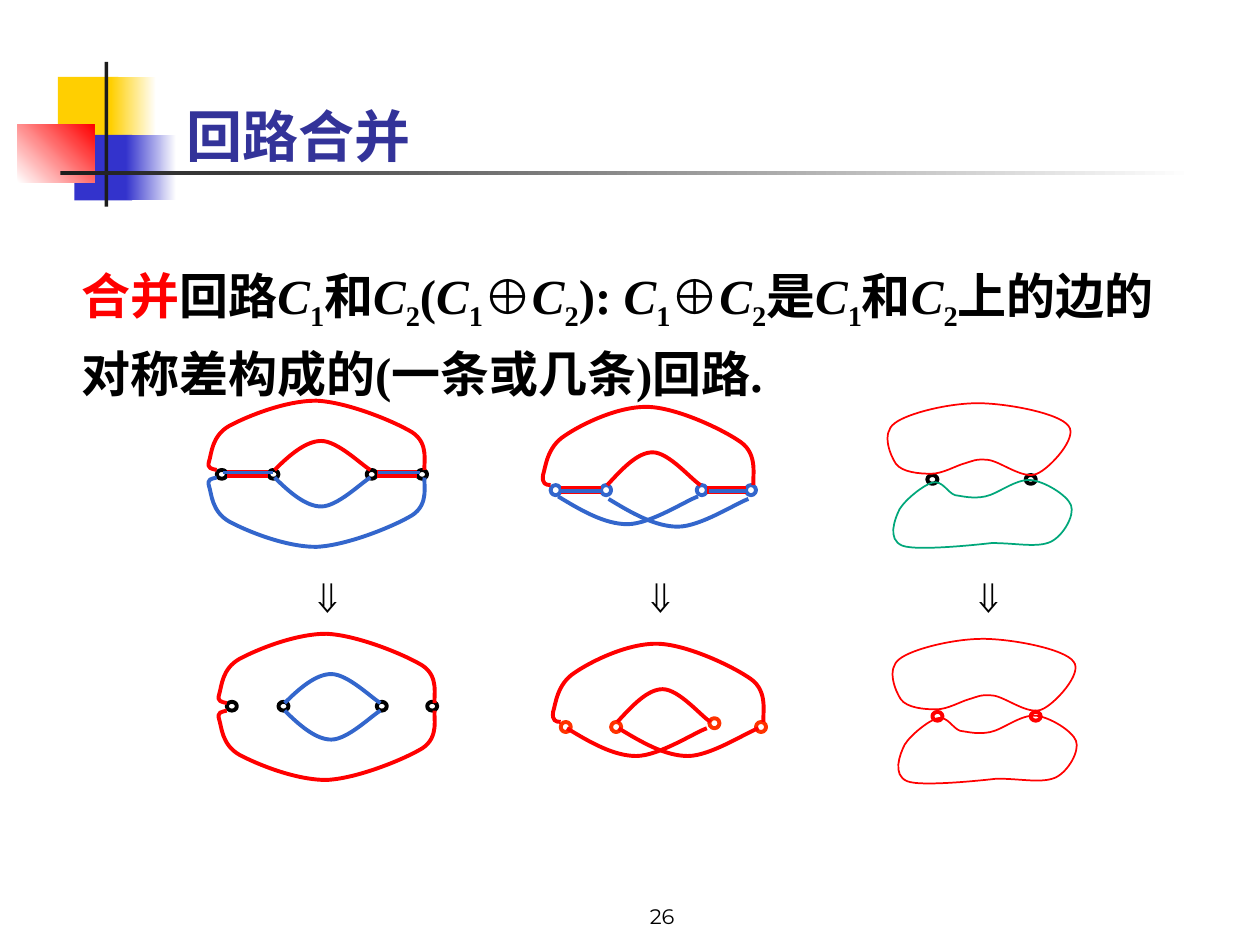
from lxml.etree import SubElement
from pptx import Presentation
from pptx.dml.color import RGBColor
from pptx.enum.shapes import MSO_CONNECTOR, MSO_SHAPE
from pptx.enum.text import MSO_ANCHOR, MSO_AUTO_SIZE, PP_ALIGN
from pptx.oxml.ns import qn
from pptx.util import Inches, Pt

HUE = {
    "gold": "FFCF01", "white": "FFFFFF", "navy": "3333CC", "red": "FF0000",
    "ink": "1C1C1C", "title": "333399", "black": "000000", "blue": "3366CC",
    "rust": "FF3300", "green": "00A77A",
}
CJK = "Noto Sans CJK SC"
TITLE = "回路合并"
BODY = ("合并|回路|C|1|和|C|2|(|C|1|⊕|C|2|): |C|1|⊕|C|2|是|C|1|和|C|2|"
        "上的边的对称差构成的(一条或几条)回路.").split("|")
PAGE = "26"

BLOCKS = [
    ((0.46, 0.61, 0.48, 0.52), ["gold"], 0),
    ((0.88, 0.61, 0.36, 0.52), ["gold", "white"], 0),
    ((0.59, 1.07, 0.46, 0.52), ["navy"], 0),
    ((1, 1.07, 0.4, 0.52), ["navy", "white"], 0),
    ((0.14, 0.99, 0.61, 0.46), ["white", "red"], 45),
    ((0.83, 0.49, 0.03, 1.15), ["ink"], 0),
    ((0.48, 1.36, 9, 0.03), ["ink", "white"], 0),
]

CURVES = {
    "eye": [(2.18, 3.73), (2.3, 3.61), (2.43, 3.5), (2.55, 3.5),
            (2.68, 3.5), (2.87, 3.69), (2.94, 3.73)],
    "dome": [(1.72, 3.73), (1.68, 3.72), (1.64, 3.72), (1.66, 3.66),
             (1.68, 3.6), (1.68, 3.46), (1.82, 3.38),
             (1.97, 3.3), (2.27, 3.18), (2.51, 3.18),
             (2.75, 3.19), (3.12, 3.34), (3.27, 3.43),
             (3.41, 3.52), (3.36, 3.68), (3.37, 3.73)],
    "hump": [(4.82, 3.85), (4.94, 3.72), (5.06, 3.59), (5.18, 3.59),
             (5.31, 3.59), (5.49, 3.81), (5.56, 3.85)],
    "sag": [(4.83, 3.96), (5.01, 4.07), (5.2, 4.18), (5.38, 4.18),
            (5.56, 4.18), (5.85, 3.99), (5.94, 3.96)],
    "roof": [(4.37, 3.85), (4.33, 3.85), (4.3, 3.84), (4.31, 3.77),
             (4.33, 3.71), (4.34, 3.55), (4.48, 3.46),
             (4.61, 3.37), (4.91, 3.22), (5.15, 3.23),
             (5.38, 3.24), (5.74, 3.41), (5.88, 3.51),
             (6.02, 3.61), (5.97, 3.79), (5.98, 3.85)],
    "upper": [(7.39, 3.76), (7.3, 3.76), (7.16, 3.75), (7.11, 3.68),
              (7.07, 3.62), (6.99, 3.44), (7.1, 3.36),
              (7.2, 3.28), (7.53, 3.2), (7.76, 3.2),
              (7.99, 3.2), (8.41, 3.28), (8.48, 3.38),
              (8.56, 3.47), (8.33, 3.72), (8.23, 3.76),
              (8.12, 3.81), (7.94, 3.66), (7.84, 3.65),
              (7.74, 3.64), (7.72, 3.66), (7.65, 3.68),
              (7.58, 3.7), (7.48, 3.76), (7.39, 3.76)],
    "lower": [(7.4, 3.83), (7.33, 3.85), (7.19, 3.96), (7.14, 4.04),
              (7.1, 4.12), (7.04, 4.28), (7.16, 4.33),
              (7.28, 4.38), (7.87, 4.31), (7.87, 4.31),
              (8.07, 4.31), (8.23, 4.35), (8.34, 4.3),
              (8.44, 4.25), (8.53, 4.09), (8.5, 4.01),
              (8.47, 3.93), (8.29, 3.82), (8.18, 3.81),
              (8.06, 3.8), (7.92, 3.92), (7.82, 3.94),
              (7.72, 3.96), (7.65, 3.94), (7.58, 3.93),
              (7.52, 3.91), (7.48, 3.81), (7.4, 3.83)],
}
for name in ("eye", "dome"):
    CURVES[name + " down"] = [(x, 7.52 - y) for x, y in CURVES[name]]

PANELS = [
    {"nodes": [(1.72, 3.73), (2.13, 3.73), (2.91, 3.73), (3.31, 3.73)],
     "ring": "black", "size": 0.07, "move": (0, 0), "wide": 2.25,
     "under": [(1.8, 2.13, 3.76), (2.99, 3.31, 3.76)],
     "over": [(1.77, 2.17, 3.75), (3, 3.33, 3.75)],
     "arcs": [("eye", "red"), ("eye down", "blue"),
              ("dome", "red"), ("dome down", "blue")]},
    {"nodes": [(1.8, 5.57), (2.21, 5.57), (2.99, 5.57), (3.39, 5.57)],
     "ring": "black", "size": 0.07, "move": (0.08, 1.85), "wide": 2.25,
     "arcs": [("eye", "blue"), ("eye down", "blue"),
              ("dome", "red"), ("dome down", "red")]},
    {"nodes": [(4.37, 3.85), (4.77, 3.85), (5.53, 3.85), (5.92, 3.85)],
     "ring": "blue", "size": 0.08, "move": (0, 0), "wide": 2.25,
     "under": [(4.45, 4.77, 3.89), (5.61, 5.92, 3.89)],
     "over": [(4.45, 4.77, 3.9), (5.63, 5.94, 3.9)],
     "arcs": [("hump", "red"), ("sag", "blue"), ("roof", "red"),
              ("sag", "blue", -0.4, -0.02)]},
    {"nodes": [(4.45, 5.73), (4.85, 5.73), (5.63, 5.7), (6, 5.73)],
     "ring": "rust", "size": 0.08, "move": (0.08, 1.88), "wide": 2.25,
     "arcs": [("hump", "red"), ("sag", "red", 0, -0.06), ("roof", "red"),
              ("sag", "red", -0.41, -0.06)]},
    {"nodes": [(7.36, 3.77), (8.14, 3.77)],
     "ring": "black", "size": 0.07, "move": (0, 0), "wide": 1,
     "arcs": [("upper", "red"), ("lower", "green")]},
    {"nodes": [(7.4, 5.65), (8.18, 5.65)],
     "ring": "red", "size": 0.07, "move": (0.04, 1.87), "wide": 1,
     "arcs": [("upper", "red"), ("lower", "red")]},
]
ARROWS = [2.29, 4.93, 7.53]


def rgb(name):
    return RGBColor.from_string(HUE[name])


def apply(item, vals):
    for key, val in vals.items():
        setattr(item, key, val)


def place(shape, box):
    apply(shape, dict(zip(("left", "top", "width", "height"), map(Inches, box))))


def stroke(shape, hue, wide):
    shape.line.color.rgb = rgb(hue)
    shape.line.width = Pt(wide)


def write(para, text, hue, size, font, far=None, **more):
    run = para.add_run()
    run.text = text
    apply(run.font, {"size": Pt(size), "name": font, **more})
    run.font.color.rgb = rgb(hue)
    props = run._r.get_or_add_rPr()
    SubElement(props, qn("a:ea")).set("typeface", far or font)
    return props


def text_box(box, **frame):
    shape = slide.shapes.add_textbox(*map(Inches, box))
    apply(shape.text_frame, {"word_wrap": True, **frame})
    return shape.text_frame


def block(box, hues, angle):
    shape = slide.shapes.add_shape(MSO_SHAPE.RECTANGLE, *map(Inches, box))
    shape.shadow.inherit = False
    shape.line.fill.background()
    if len(hues) == 1:
        shape.fill.solid()
        shape.fill.fore_color.rgb = rgb(hues[0])
        return
    shape.fill.gradient()
    shape.fill.gradient_angle = angle
    for stop, hue in zip(shape.fill.gradient_stops, hues):
        stop.color.rgb = rgb(hue)


def node(x, y, size, hue):
    shape = slide.shapes.add_shape(
        MSO_SHAPE.OVAL, Inches(x), Inches(y), Inches(0.08), Inches(size))
    shape.shadow.inherit = False
    shape.fill.solid()
    shape.fill.fore_color.rgb = rgb("white")
    stroke(shape, hue, 2.25)


def edge(start, end, y, hue, wide):
    line = slide.shapes.add_connector(
        MSO_CONNECTOR.STRAIGHT, *map(Inches, (start, y, end, y)))
    stroke(line, hue, wide)
    SubElement(line._element.spPr, qn("a:effectLst"))


def bend(shape):
    lines = list(shape._element.iter(qn("a:lnTo")))
    for i in range(0, len(lines), 3):
        trio = lines[i:i + 3]
        curve = SubElement(trio[0].getparent(), qn("a:cubicBezTo"))
        trio[0].addprevious(curve)
        for line in trio:
            curve.append(line[0])
            line.getparent().remove(line)


def arc(move, wide, name, hue, dx=0, dy=0):
    base = CURVES[name]
    pts = [(Inches(x + move[0] + dx), Inches(y + move[1] + dy)) for x, y in base]
    form = slide.shapes.build_freeform(*pts[0])
    form.add_line_segments(pts[1:], close=base[0] == base[-1])
    shape = form.convert_to_shape()
    bend(shape)
    shape.shadow.inherit = False
    shape.fill.background()
    stroke(shape, hue, wide)


deck = Presentation()
apply(deck, {"slide_width": Inches(10), "slide_height": Inches(7.5)})
slide = deck.slides.add_slide(deck.slide_layouts[5])

for item in BLOCKS:
    block(*item)

title = slide.shapes.title
place(title, (1.38, 0.5, 8.12, 0.89))
apply(title.text_frame, {"vertical_anchor": MSO_ANCHOR.BOTTOM,
                         "auto_size": MSO_AUTO_SIZE.NONE})
para = title.text_frame.paragraphs[0]
para.alignment = PP_ALIGN.LEFT
write(para, TITLE, "title", 32, CJK, bold=True)

para = text_box((0.55, 1.95, 9, 4.54)).paragraphs[0]
para.line_spacing = 1.2
for i, text in enumerate(BODY):
    plus = text == "⊕"
    props = write(para, text, "black" if i else "red", 28,
                  "Arial" if plus else "Times New Roman",
                  "Arial" if plus else CJK, bold=True, italic=text == "C")
    if text.isdigit():
        props.set("baseline", "-25000")

para = text_box((3.67, 6.92, 3.17, 0.5),
                vertical_anchor=MSO_ANCHOR.BOTTOM).paragraphs[0]
para.alignment = PP_ALIGN.CENTER
write(para, PAGE, "black", 12, "Montserrat")

for panel in PANELS:
    for x, y in panel["nodes"]:
        node(x, y, panel["size"], panel["ring"])
    for span in panel.get("under", []):
        edge(*span, "red", 4.5)
    for item in panel["arcs"]:
        arc(panel["move"], panel["wide"], *item)
    for span in panel.get("over", []):
        edge(*span, "blue", 2.25)

for x in ARROWS:
    frame = text_box((x, 4.53, 0.6, 0.47), auto_size=MSO_AUTO_SIZE.SHAPE_TO_FIT_TEXT,
                     margin_left=Inches(0.05), margin_right=Inches(0.05),
                     margin_top=Inches(0.1), margin_bottom=Inches(0.1))
    frame._txBody.bodyPr.set("vert", "eaVert")
    write(frame.paragraphs[0], "⇒", "black", 24, "Arial", bold=True)

deck.save("out.pptx")
